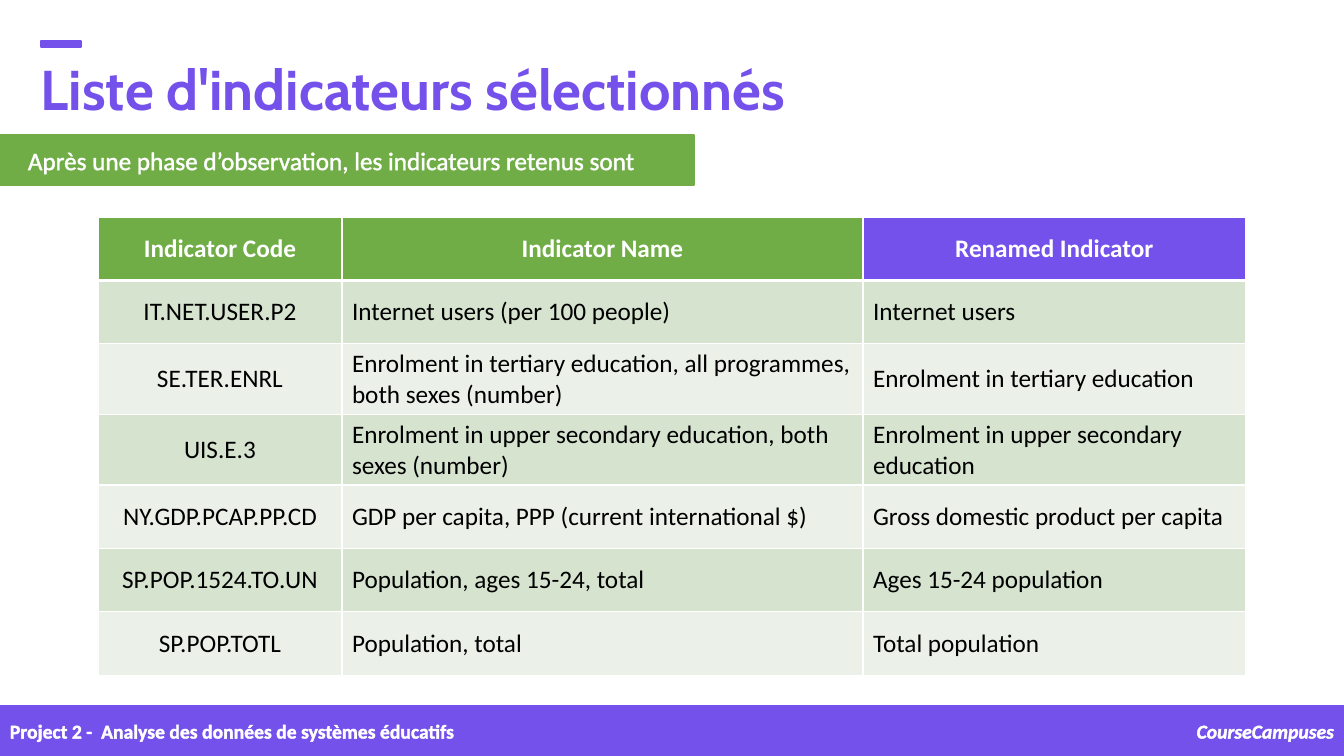
from collections import namedtuple

from lxml import etree
from pptx import Presentation
from pptx import util as u
from pptx.dml.color import RGBColor
from pptx.enum import shapes, text
from pptx.oxml import ns

PURPLE = RGBColor(0x74, 0x51, 0xEB)
GREEN = RGBColor(0x70, 0xAD, 0x47)
WHITE = RGBColor(0xFF, 0xFF, 0xFF)
BLACK = RGBColor(0x00, 0x00, 0x00)
BAND_DARK = RGBColor(0xD5, 0xE3, 0xCF)
BAND_LIGHT = RGBColor(0xEB, 0xF1, 0xE9)

Box = namedtuple("Box", "left top width height")
LEFT, CENTER, RIGHT = text.PP_ALIGN.LEFT, text.PP_ALIGN.CENTER, text.PP_ALIGN.RIGHT

COLUMN_WIDTHS = (244, 521, 383)
HEADERS = ("Indicator Code", "Indicator Name", "Renamed Indicator")
HEADER_FILLS = (GREEN, GREEN, PURPLE)
INDICATORS = (
    ("IT.NET.USER.P2", "Internet users (per 100 people)", "Internet users"),
    ("SE.TER.ENRL", "Enrolment in tertiary education, all programmes, both sexes (number)",
     "Enrolment in tertiary education"),
    ("UIS.E.3", "Enrolment in upper secondary education, both sexes (number)",
     "Enrolment in upper secondary education"),
    ("NY.GDP.PCAP.PP.CD", "GDP per capita, PPP (current international $)",
     "Gross domestic product per capita"),
    ("SP.POP.1524.TO.UN", "Population, ages 15-24, total", "Ages 15-24 population"),
    ("SP.POP.TOTL", "Population, total", "Total population"),
)


def px(length):
    return u.Emu(round(length * 914400 / 100.8))


def place(box):
    return [px(length) for length in box]


def add_line(parent, index, tag, color, points):
    line = etree.Element(ns.qn(tag), w=str(u.Pt(points)))
    fill = etree.SubElement(line, ns.qn("a:solidFill"))
    etree.SubElement(fill, ns.qn("a:srgbClr"), val=str(color))
    parent.insert(index, line)


def add_span(para, words, size, color, bold=False, italic=False, font="Calibri"):
    span = para.add_run()
    span.text = words
    span.font.name = font
    span.font.size = u.Pt(size)
    span.font.bold = bold
    span.font.italic = italic
    span.font.color.rgb = color
    return span


def add_bar(page, box, color):
    bar = page.shapes.add_shape(shapes.MSO_SHAPE.RECTANGLE, *place(box))
    bar.shadow.inherit = False
    bar.fill.solid()
    bar.fill.fore_color.rgb = color
    bar.line.color.rgb = color
    bar.line.width = u.Pt(1)


def add_label(page, box, words, size, color, align=LEFT, **style):
    frame = page.shapes.add_textbox(*place(box)).text_frame
    frame.word_wrap = True
    para = frame.paragraphs[0]
    para.alignment = align
    span = add_span(para, words, size, color, **style)
    add_line(span.font._element, 0, "a:ln", color, 0.75)
    return frame


def add_title(page, box):
    add_bar(page, Box(box.left + 10, box.top, 40, 6), PURPLE)
    title_box = Box(box.left, box.top + 6, box.width, box.height - 6)
    frame = add_label(page, title_box, "Liste d'indicateurs sélectionnés", 40, PURPLE,
                      bold=True, font="Cabin")
    frame.vertical_anchor = text.MSO_ANCHOR.MIDDLE
    frame.paragraphs[0].line_spacing = 0.9


def add_banner(page, box):
    add_bar(page, box, GREEN)
    add_label(page, Box(box.left + 18, box.top + 5, box.width - 50, box.height - 10),
              "Après une phase d’observation, les indicateurs retenus sont", 18, WHITE)


def add_footer(page, box):
    add_bar(page, box, PURPLE)
    top, height = box.top + 8, 34
    add_label(page, Box(box.left, top, 489, height),
              "Project 2 -  Analyse des données de systèmes éducatifs", 14, WHITE, bold=True)
    add_label(page, Box(box.left + box.width - 181, top, 181, height),
              "CourseCampuses", 14, WHITE, RIGHT, bold=True, italic=True)


def fill_cell(cell, words, color, fill, align, bold, top, bottom):
    cell.vertical_anchor = text.MSO_ANCHOR.MIDDLE
    cell.fill.solid()
    cell.fill.fore_color.rgb = fill
    para = cell.text_frame.paragraphs[0]
    para.alignment = align
    add_span(para, words, 18, color, bold)
    edges = (("a:lnL", 1), ("a:lnR", 1), ("a:lnT", top), ("a:lnB", bottom))
    for index, (tag, points) in enumerate(edges):
        add_line(cell._tc.get_or_add_tcPr(), index, tag, WHITE, points)


def add_indicators(page, box):
    table = page.shapes.add_table(len(INDICATORS) + 1, len(HEADERS), *place(box)).table
    for column, width in zip(table.columns, COLUMN_WIDTHS):
        column.width = px(width)
    for column, (words, fill) in enumerate(zip(HEADERS, HEADER_FILLS)):
        fill_cell(table.cell(0, column), words, WHITE, fill, CENTER, True, 1, 3)
    for row, indicator in enumerate(INDICATORS, 1):
        fill = BAND_DARK if row % 2 else BAND_LIGHT
        top = 3 if row == 1 else 1
        for column, words in enumerate(indicator):
            align = LEFT if column else CENTER
            fill_cell(table.cell(row, column), words, BLACK, fill, align, False, top, 1)


def main():
    deck = Presentation()
    deck.slide_width, deck.slide_height = px(1344), px(756)
    page = deck.slides.add_slide(deck.slide_layouts[6])
    add_footer(page, Box(0, 706, 1344, 50))
    add_title(page, Box(31, 41, 780, 97))
    add_indicators(page, Box(98, 217, sum(COLUMN_WIDTHS), 444))
    add_banner(page, Box(0, 135, 694, 50))
    deck.save("out.pptx")


if __name__ == "__main__":
    main()
